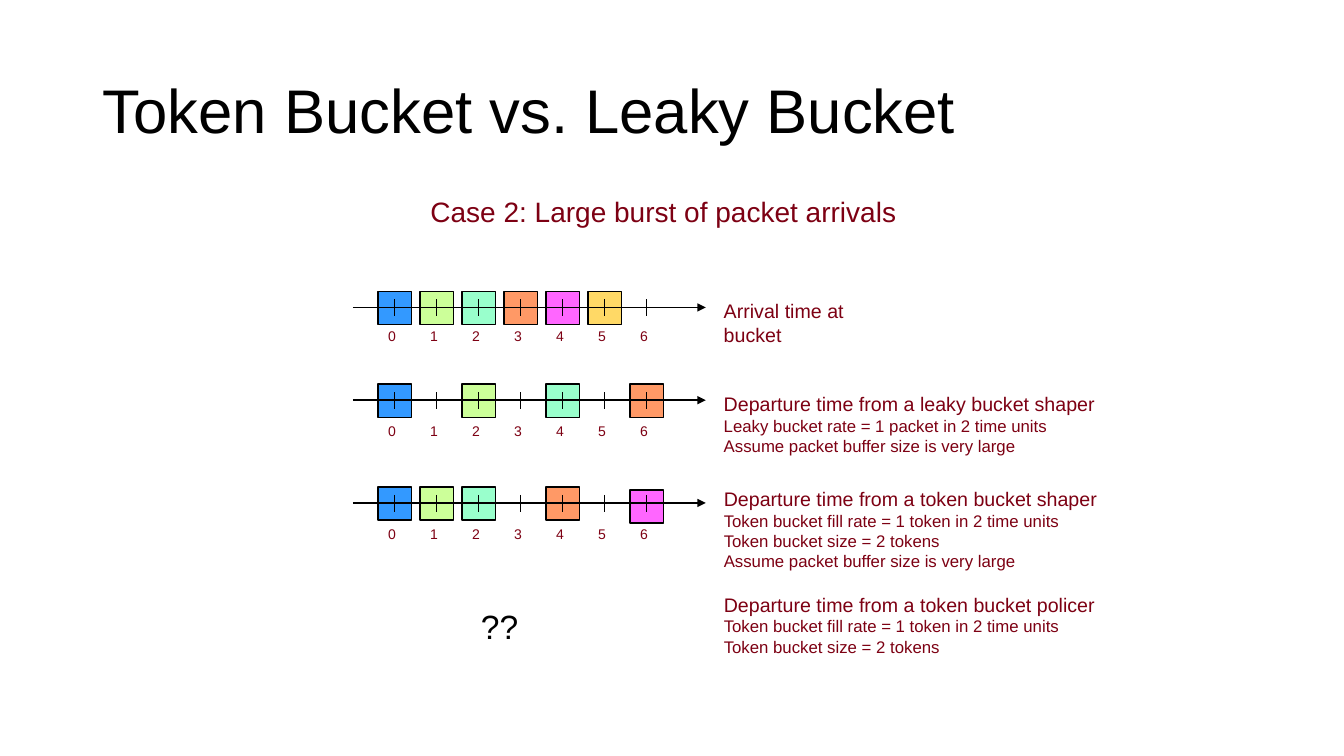
from dataclasses import dataclass

import pptx
import pptx.dml.color
import pptx.enum.shapes
import pptx.enum.text
import pptx.util
from lxml import etree
from pptx.util import Inches


@dataclass(frozen=True)
class Theme:
    font: str = "Arial"
    black: str = "000000"
    maroon: str = "7D0013"
    blue: str = "3399FF"
    lime: str = "CCFF99"
    mint: str = "99FFCC"
    orange: str = "FF9966"
    pink: str = "FF66FF"
    yellow: str = "FFD966"
    title: int = 44
    case: int = 20
    query: int = 24
    head: int = 14
    detail: int = 12
    tick: int = 10


T = Theme()

# Timeline geometry in inches
SLOTS = 7
SLOT_LEFT = 3.75
SLOT_STEP = 2.5 / 6
PACKET = 0.33
AXIS_LEFT, AXIS_RIGHT = 3.5, 7
NOTE_LEFT = 7.08

# Packet top, label top, {time: (colour, drop below the row)}
TIMELINES = [
    (2.89, 3.2, {0: (T.blue, 0), 1: (T.lime, 0), 2: (T.mint, 0),
                 3: (T.orange, 0), 4: (T.pink, 0), 5: (T.yellow, 0)}),
    (3.81, 4.14, {0: (T.blue, 0), 2: (T.lime, 0), 4: (T.mint, 0),
                  6: (T.orange, 0)}),
    (4.83, 5.16, {0: (T.blue, 0), 1: (T.lime, 0), 2: (T.mint, 0),
                  4: (T.orange, 0), 6: (T.pink, 0.03)}),
]

# Top, width, height, wrap, lines (heading first)
FILL_RATE = "Token bucket fill rate = 1 token in 2 time units"
BUCKET_SIZE = "Token bucket size = 2 tokens"
BUFFER = "Assume packet buffer size is very large"
NOTES = [
    (2.92, 1.9, 0.33, True, ["Arrival time at bucket"]),
    (3.84, 3.9, 0.74, False, ["Departure time from a leaky bucket shaper",
                              "Leaky bucket rate = 1 packet in 2 time units",
                              BUFFER]),
    (4.78, 3.92, 0.98, False, ["Departure time from a token bucket shaper",
                               FILL_RATE, BUCKET_SIZE, BUFFER]),
    (5.83, 4.25, 0.74, True, ["Departure time from a token bucket policer",
                              FILL_RATE, BUCKET_SIZE]),
]


def rgb(value):
    return pptx.dml.color.RGBColor.from_string(value)


def format_paragraph(p, size, color):
    for r in p.runs:
        r.font.name = T.font
        r.font.size = pptx.util.Pt(size)
        r.font.color.rgb = rgb(color)


def set_title(s, text):
    sp = s.shapes.title
    sp.left, sp.top = Inches(0.92), Inches(0.4)
    sp.width, sp.height = Inches(11.5), Inches(1.45)
    tf = sp.text_frame
    tf.text = text
    tf.auto_size = pptx.enum.text.MSO_AUTO_SIZE.NONE
    tf.vertical_anchor = pptx.enum.text.MSO_ANCHOR.MIDDLE
    p = tf.paragraphs[0]
    p.alignment = pptx.enum.text.PP_ALIGN.LEFT
    p.line_spacing = 0.9
    format_paragraph(p, T.title, T.black)


def add_text(s, left, top, width, height, lines, size, color=T.maroon,
             wrap=False, detail=T.detail, align=pptx.enum.text.PP_ALIGN.LEFT):
    sp = s.shapes.add_textbox(Inches(left), Inches(top),
                              Inches(width), Inches(height))
    tf = sp.text_frame
    tf.word_wrap = wrap
    tf.auto_size = pptx.enum.text.MSO_AUTO_SIZE.SHAPE_TO_FIT_TEXT
    tf.text = "\n".join(lines)
    for i, p in enumerate(tf.paragraphs):
        p.alignment = align
        format_paragraph(p, detail if i else size, color)


def add_packet(s, left, top, color):
    sp = s.shapes.add_shape(pptx.enum.shapes.MSO_SHAPE.RECTANGLE,
                            Inches(left), Inches(top),
                            Inches(PACKET), Inches(PACKET))
    sp.shadow.inherit = False
    sp.fill.solid()
    sp.fill.fore_color.rgb = rgb(color)
    sp.line.color.rgb = rgb(T.black)
    sp.line.width = pptx.util.Pt(1)


def add_line(s, x1, y1, x2, y2, arrow=False):
    line = s.shapes.add_connector(pptx.enum.shapes.MSO_CONNECTOR.STRAIGHT,
                                  Inches(x1), Inches(y1),
                                  Inches(x2), Inches(y2))
    line.line.color.rgb = rgb(T.black)
    line.line.width = pptx.util.Pt(1)
    if arrow:
        etree.SubElement(line.line._get_or_add_ln(),
                         pptx.oxml.ns.qn("a:tailEnd"), type="triangle")
    etree.SubElement(line._element.spPr, pptx.oxml.ns.qn("a:effectLst"))


def add_timeline(s, top, label_top, packets):
    # Packets lie behind the axis
    for time, (color, drop) in packets.items():
        add_packet(s, SLOT_LEFT + time * SLOT_STEP, top + drop, color)
    axis = top + 0.16
    add_line(s, AXIS_LEFT, axis, AXIS_RIGHT, axis, arrow=True)
    # Ticks and their numbers
    for time in range(SLOTS):
        left = SLOT_LEFT + time * SLOT_STEP
        x = left + PACKET / 2
        add_line(s, x, axis - 0.08, x, axis + 0.09)
        add_text(s, left, label_top, 0.28, 0.27, [str(time)], T.tick)


def main():
    prs = pptx.Presentation()
    prs.slide_width, prs.slide_height = Inches(13.33), Inches(7.5)
    s = prs.slides.add_slide(prs.slide_layouts[5])

    # Headings
    set_title(s, "Token Bucket vs. Leaky Bucket")
    add_text(s, 4.17, 1.88, 4.86, 0.44,
             ["Case 2: Large burst of packet arrivals"], T.case)

    # Timelines and the open question
    for timeline in TIMELINES:
        add_timeline(s, *timeline)
    add_text(s, 4.08, 5.96, 1.75, 0.5, ["??"], T.query, T.black, wrap=True,
             align=pptx.enum.text.PP_ALIGN.CENTER)

    # Notes beside the timelines
    for top, width, height, wrap, lines in NOTES:
        add_text(s, NOTE_LEFT, top, width, height, lines, T.head, wrap=wrap)

    prs.save("out.pptx")


if __name__ == "__main__":
    main()
